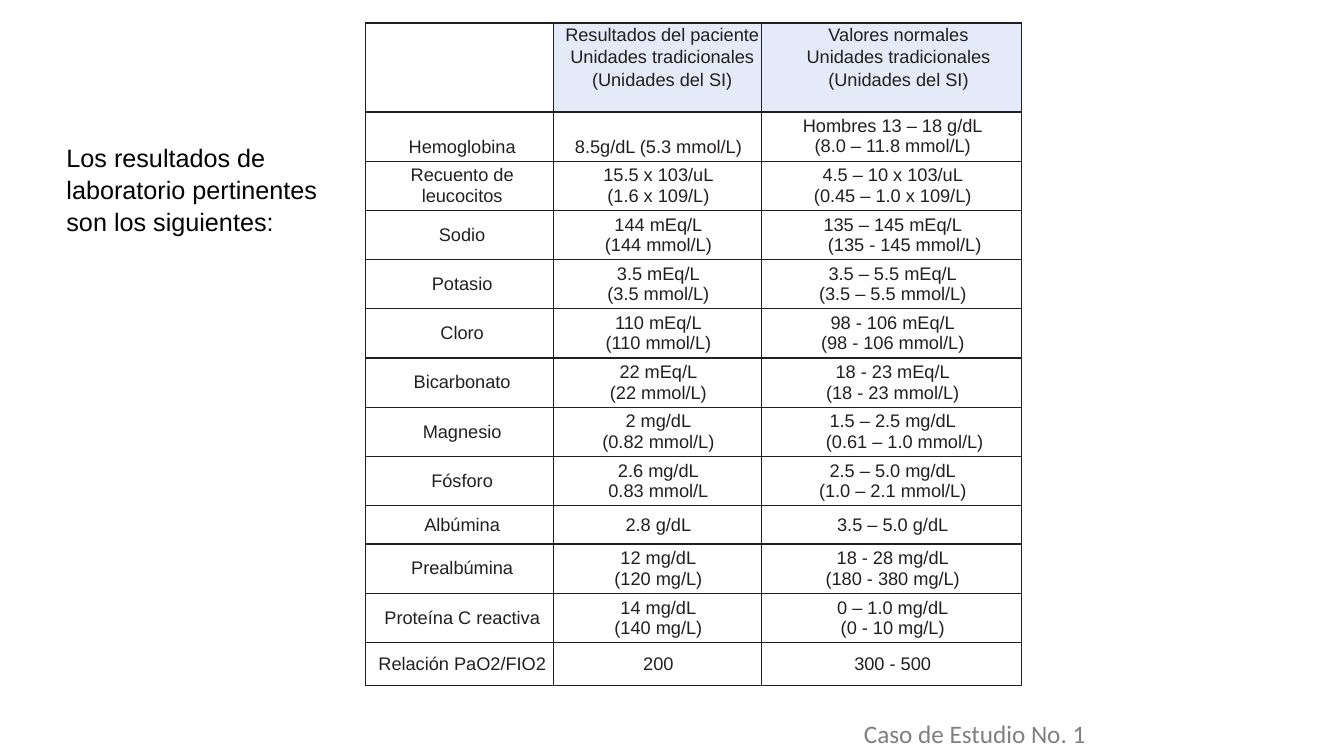
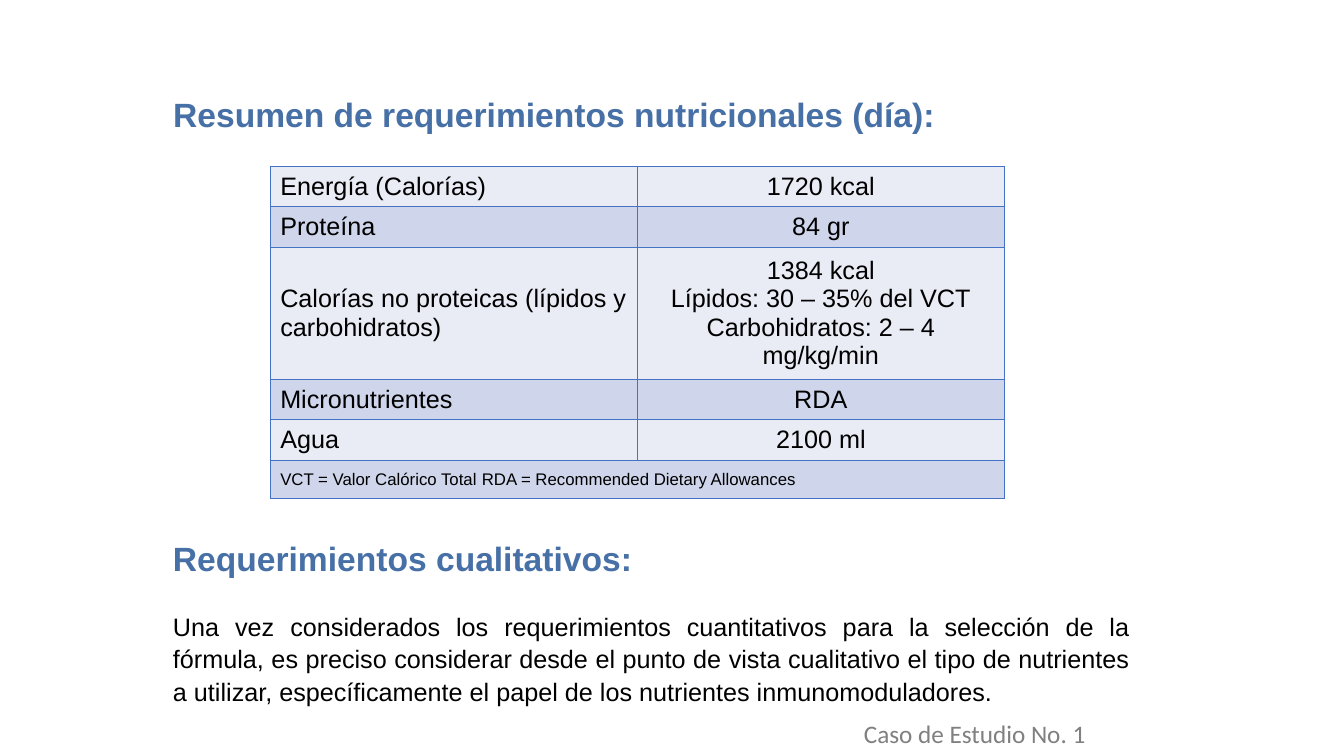
from lxml.etree import SubElement
from pptx import Presentation
from pptx.dml.color import RGBColor
from pptx.enum.shapes import MSO_SHAPE
from pptx.enum.text import MSO_ANCHOR, MSO_AUTO_SIZE, PP_ALIGN
from pptx.oxml.ns import qn
from pptx.util import Cm, Pt

INK, BLACK, BLUE, GRAY, WHITE = "231F20", "000000", "4770A6", "808080", "FFFFFF"
HEAD, EDGE, BANDS = "E4EAF7", "4472C4", ("E9EBF5", "CFD5EA")
SPACING = 1.07

LABS = [
    ("", "Resultados del paciente Unidades tradicionales (Unidades del SI)",
     "Valores normales\nUnidades tradicionales\n(Unidades del SI)"),
    ("Hemoglobina", "8.5g/dL (5.3 mmol/L)", "Hombres 13 – 18 g/dL\n(8.0 – 11.8 mmol/L)"),
    ("Recuento de leucocitos", "15.5 x 103/uL\n(1.6 x 109/L)",
     "4.5 – 10 x 103/uL\n(0.45 – 1.0 x 109/L)"),
    ("Sodio", "144 mEq/L\n(144 mmol/L)", "135 – 145 mEq/L\n(135 - 145 mmol/L)"),
    ("Potasio", "3.5 mEq/L\n(3.5 mmol/L)", "3.5 – 5.5 mEq/L\n(3.5 – 5.5 mmol/L)"),
    ("Cloro", "110 mEq/L\n(110 mmol/L)", "98 - 106 mEq/L\n(98 - 106 mmol/L)"),
    ("Bicarbonato", "22 mEq/L\n(22 mmol/L)", "18 - 23 mEq/L\n(18 - 23 mmol/L)"),
    ("Magnesio", "2 mg/dL\n(0.82 mmol/L)", "1.5 – 2.5 mg/dL\n(0.61 – 1.0 mmol/L)"),
    ("Fósforo", "2.6 mg/dL\n0.83 mmol/L", "2.5 – 5.0 mg/dL\n(1.0 – 2.1 mmol/L)"),
    ("Albúmina", "2.8 g/dL", "3.5 – 5.0 g/dL"),
    ("Prealbúmina", "12 mg/dL\n(120 mg/L)", "18 - 28 mg/dL\n(180 - 380 mg/L)"),
    ("Proteína C reactiva", "14 mg/dL\n(140 mg/L)", "0 – 1.0 mg/dL\n(0 - 10 mg/L)"),
    ("Relación PaO2/FIO2", "200", "300 - 500"),
]
NEEDS = [
    ("Energía (Calorías)", "1720 kcal"),
    ("Proteína", "84 gr"),
    ("Calorías no proteicas (lípidos y carbohidratos)",
     "1384 kcal\nLípidos: 30 – 35% del VCT\nCarbohidratos: 2 – 4 mg/kg/min"),
    ("Micronutrientes", "RDA"),
    ("Agua", "2100 ml"),
    ("VCT = Valor Calórico Total\tRDA = Recommended Dietary Allowances", ""),
]


def color(code):
    """Turn a hex string into a colour."""
    return RGBColor.from_string(code)


def style(para, size, code, align=PP_ALIGN.LEFT, bold=False, name="Arial", space=1.0):
    """Format one paragraph."""
    font = para.font
    font.name, font.size, font.bold = name, Pt(size), bold
    font.color.rgb = color(code)
    para.alignment, para.line_spacing = align, space


def place(shape, left, top, width, height):
    """Move and size a shape, in centimetres."""
    shape.left, shape.top = Cm(left), Cm(top)
    shape.width, shape.height = Cm(width), Cm(height)


def add_foot(slide):
    """Add the white band with the case name."""
    band = slide.shapes.add_shape(
        MSO_SHAPE.RECTANGLE, Cm(15.27), Cm(17.98), Cm(18.59), Cm(1.02))
    band.shadow.inherit = False
    band.fill.solid()
    band.fill.fore_color.rgb = color(WHITE)
    band.line.fill.background()
    frame = band.text_frame
    frame.text = "Caso de Estudio No. 1"
    frame.vertical_anchor = MSO_ANCHOR.MIDDLE
    style(frame.paragraphs[0], 18, GRAY, PP_ALIGN.CENTER, name="Calibri")


def add_page(deck, title, box, size, code, bold=False):
    """Add a slide with its footer and a formatted title."""
    slide = deck.slides.add_slide(deck.slide_layouts[5])
    add_foot(slide)
    head = slide.shapes.title
    place(head, *box)
    frame = head.text_frame
    frame.text = title
    frame.word_wrap, frame.auto_size = True, MSO_AUTO_SIZE.NONE
    frame.vertical_anchor = MSO_ANCHOR.TOP
    style(frame.paragraphs[0], size, code, bold=bold, space=SPACING)
    return slide


def add_edges(cell, code):
    """Draw the four borders of a cell."""
    props = cell._tc.get_or_add_tcPr()
    for side in ("lnL", "lnR", "lnT", "lnB"):
        line = SubElement(props, qn("a:" + side), w=str(Pt(1)))
        fill = SubElement(line, qn("a:solidFill"))
        SubElement(fill, qn("a:srgbClr"), val=code)


def add_grid(slide, left, top, cols, rows, data, edge):
    """Add a plain bordered table filled with text."""
    table = slide.shapes.add_table(
        len(rows), len(cols), Cm(left), Cm(top), Cm(sum(cols)), Cm(sum(rows))).table
    table.first_row = table.horz_banding = False
    for col, width in zip(table.columns, cols):
        col.width = Cm(width)
    for row, height, texts in zip(table.rows, rows, data):
        row.height = Cm(height)
        for cell, text in zip(row.cells, texts):
            cell.text = text
            cell.vertical_anchor = MSO_ANCHOR.MIDDLE
            add_edges(cell, edge)
    return table


def paint(cell, code=None):
    """Fill a cell, or leave it clear."""
    if code:
        cell.fill.solid()
        cell.fill.fore_color.rgb = color(code)
    else:
        cell.fill.background()


def add_labs(slide):
    """Add the table of laboratory results."""
    rows = [2.24] + [1.24] * 8 + [0.97, 1.24, 1.24, 1.09]
    table = add_grid(slide, 9.22, 0.58, (4.72, 5.26, 6.55), rows, LABS, INK)
    for r, row in enumerate(table.rows):
        for c, cell in enumerate(row.cells):
            cell.margin_right = cell.margin_top = cell.margin_bottom = 0
            cell.margin_left = Cm((0.13, 0.23, 0.33)[c] if r == 0 else (0.13, 0.04, 0.04)[c])
            for para in cell.text_frame.paragraphs:
                style(para, 13, INK, PP_ALIGN.CENTER, space=1.1 if r == 0 else 1.0)
            paint(cell, HEAD if r == 0 and c else None)
            if r == 0:
                cell.vertical_anchor = MSO_ANCHOR.TOP
    for c in (0, 1):
        cell = table.cell(1, c)
        cell.vertical_anchor, cell.margin_bottom = MSO_ANCHOR.BOTTOM, Cm(0.09)
    for r in (3, 7):
        para = table.cell(r, 2).text_frame.paragraphs[1]
        para._p.get_or_add_pPr().set("marL", str(Cm(0.6)))


def add_needs(slide):
    """Add the banded table of daily needs."""
    rows = (1.02, 1.02, 3.33, 1.02, 1.02, 0.97)
    table = add_grid(slide, 6.81, 4.19, (9.25, 9.25), rows, NEEDS, EDGE)
    last = len(rows) - 1
    for r, row in enumerate(table.rows):
        for c, cell in enumerate(row.cells):
            for para in cell.text_frame.paragraphs:
                style(para, 12 if r == last else 18, BLACK,
                      PP_ALIGN.CENTER if c else PP_ALIGN.LEFT)
            paint(cell, BANDS[r % 2])
    table.cell(last, 0).merge(table.cell(last, 1))


def add_note(slide, head, body):
    """Add a heading with a justified paragraph below it."""
    box = slide.shapes.add_textbox(Cm(4.11), Cm(13.36), Cm(24.61), Cm(4.45))
    frame = box.text_frame
    frame.word_wrap = True
    frame.text = head + "\n" + body
    first, second = frame.paragraphs
    style(first, 24, BLUE, bold=True, space=SPACING)
    style(second, 18, BLACK, PP_ALIGN.JUSTIFY, space=SPACING)
    second.space_before = Pt(22)


def main():
    """Build and save both slides."""
    deck = Presentation()
    deck.slide_width, deck.slide_height = Cm(33.87), Cm(19.05)
    labs = add_page(
        deck, "Los resultados de laboratorio pertinentes son los siguientes:",
        (1.42, 3.4, 6.96, 2.6), 18, BLACK)
    add_labs(labs)
    needs = add_page(
        deck, "Resumen de requerimientos nutricionales (día):",
        (4.11, 2.16, 24.61, 1.3), 24, BLUE, bold=True)
    add_needs(needs)
    add_note(
        needs, "Requerimientos cualitativos:",
        "Una vez considerados los requerimientos cuantitativos para la selección de la "
        "fórmula, es preciso considerar desde el punto de vista cualitativo el tipo de "
        "nutrientes a utilizar, específicamente el papel de los nutrientes "
        "inmunomoduladores.")
    deck.save("out.pptx")


main()
